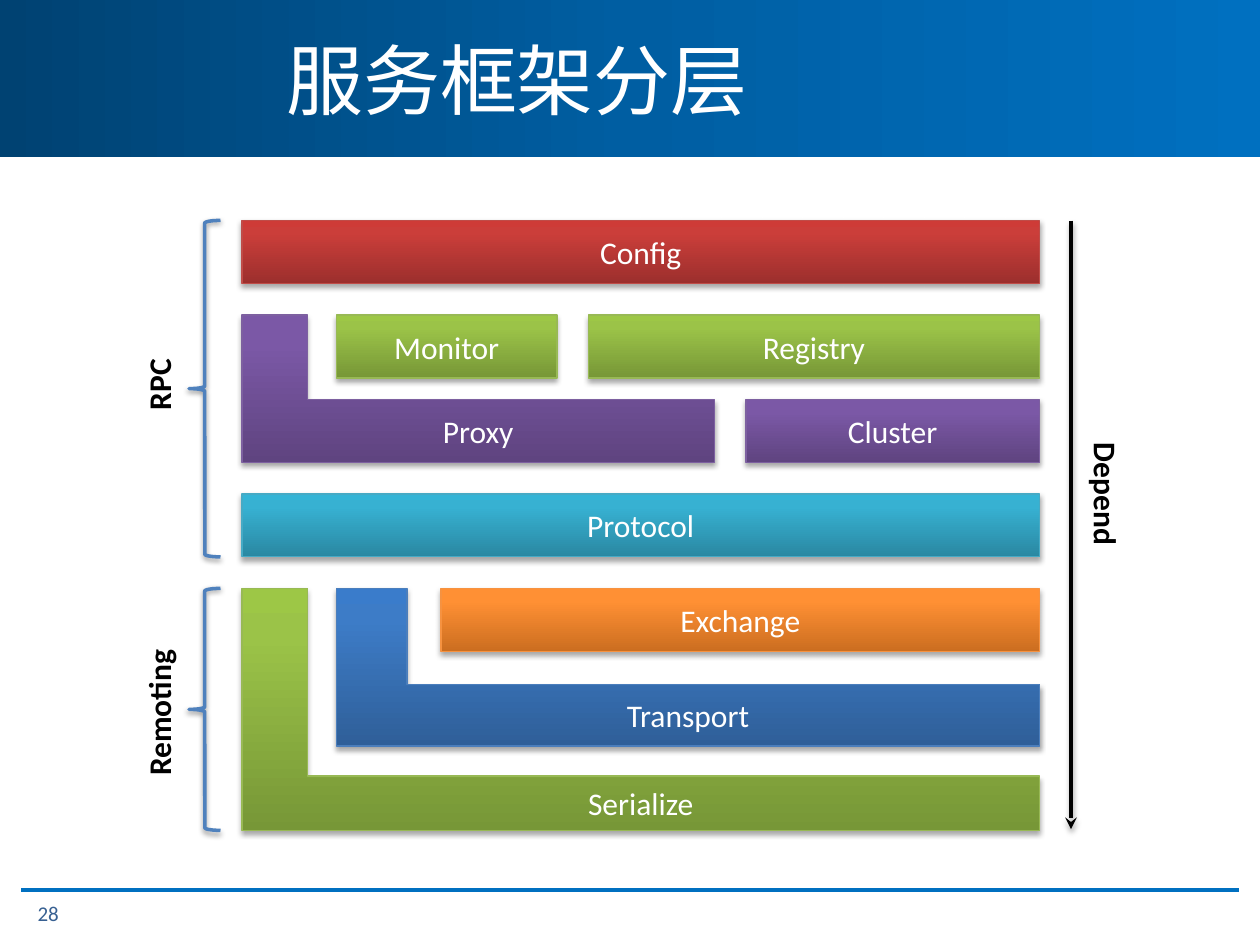
from copy import deepcopy

from lxml.etree import SubElement
from pptx import Presentation
from pptx.dml.color import RGBColor
from pptx.enum.shapes import MSO_CONNECTOR, MSO_SHAPE
from pptx.enum.text import MSO_ANCHOR, MSO_AUTO_SIZE, PP_ALIGN
from pptx.oxml.ns import qn
from pptx.util import Inches, Pt

FONT = "Calibri"
WHITE = RGBColor(255, 255, 255)
BLACK = RGBColor(0, 0, 0)
NAVY = RGBColor(0x37, 0x60, 0x92)
SKY = RGBColor(0x00, 0x70, 0xC0)
STEEL = RGBColor(0x4F, 0x81, 0xBD)
BANNER = [RGBColor(0x00, 0x42, 0x72), RGBColor(0x00, 0x5E, 0xA2), SKY]

# Each tint: bottom, upper and top of the gradient, then the outline
RED = [RGBColor(0x9C, 0x2F, 0x2D), RGBColor(0xCB, 0x3E, 0x3A),
       RGBColor(0xCE, 0x3B, 0x37), RGBColor(0xBF, 0x4C, 0x48)]
TEAL = [RGBColor(0x2A, 0x88, 0xA2), RGBColor(0x37, 0xB1, 0xD2),
        RGBColor(0x34, 0xB4, 0xD6), RGBColor(0x46, 0xAA, 0xC5)]
GREEN = [RGBColor(0x77, 0x97, 0x37), RGBColor(0x9B, 0xC3, 0x48),
         RGBColor(0x9D, 0xC7, 0x46), RGBColor(0x98, 0xB9, 0x55)]
PURPLE = [RGBColor(0x5F, 0x44, 0x80), RGBColor(0x7B, 0x58, 0xA6),
          RGBColor(0x7C, 0x57, 0xA8), RGBColor(0x7D, 0x60, 0xA0)]
ORANGE = [RGBColor(0xCC, 0x6E, 0x20), RGBColor(0xFF, 0x90, 0x34),
          RGBColor(0xFF, 0x91, 0x36), RGBColor(0xF6, 0x92, 0x40)]
BLUE = [RGBColor(0x2F, 0x5F, 0x99), RGBColor(0x3D, 0x7C, 0xC7),
        RGBColor(0x3A, 0x7C, 0xCB), RGBColor(0x4B, 0x7E, 0xBC)]

# Left, top, width, height within the stack; L shapes add foot and stem
LAYERS = [
    ("Config", RED, 0, 0, 6.33, 0.5),
    ("Protocol", TEAL, 0, 2.17, 6.33, 0.5),
    ("Registry", GREEN, 2.75, 0.75, 3.58, 0.5),
    ("Cluster", PURPLE, 4, 1.42, 2.33, 0.5),
    ("Monitor", GREEN, 0.75, 0.75, 1.75, 0.5),
    ("Exchange", ORANGE, 1.58, 2.92, 4.75, 0.5),
    ("Proxy", PURPLE, 0, 0.75, 3.75, 1.17, 0.5, 0.52),
    ("Serialize", GREEN, 0, 2.92, 6.33, 1.92, 0.43, 0.52),
    ("Transport", BLUE, 0.75, 2.92, 5.58, 1.25, 0.49, 0.56),
]


def write(frame, text, size, color, bold=None, align=PP_ALIGN.LEFT):
    para = frame.paragraphs[0]
    para.alignment = align
    run = para.add_run()
    run.text = text
    font = run.font
    font.name, font.size, font.bold = FONT, Pt(size), bold
    font.color.rgb = color


def blend(shape, colors, spots, angle):
    """Fill with a three-stop gradient."""
    shape.fill.gradient()
    stops = shape._element.spPr.find(".//" + qn("a:gsLst"))
    stops.append(deepcopy(stops[-1]))
    for stop, color, spot in zip(shape.fill.gradient_stops, colors, spots):
        stop.color.rgb = color
        stop.position = spot
    shape.fill.gradient_angle = angle


def shade(shape, alpha=35, dist=1.8):
    """Drop a soft black shadow straight down."""
    props = shape._element.spPr
    for old in props.findall(qn("a:effectLst")):
        props.remove(old)
    drop = SubElement(SubElement(props, qn("a:effectLst")), qn("a:outerShdw"),
                      blurRad=str(Pt(3.1)), dist=str(Pt(dist)),
                      dir="5400000", rotWithShape="0")
    tone = SubElement(drop, qn("a:srgbClr"), val="000000")
    SubElement(tone, qn("a:alpha"), val=str(alpha * 1000))


def rule(slide, x1, y1, x2, y2, color):
    line = slide.shapes.add_connector(
        MSO_CONNECTOR.STRAIGHT, Inches(x1), Inches(y1), Inches(x2), Inches(y2))
    line.line.color.rgb = color
    line.line.width = Pt(2.25)
    return line


def header(slide, x, y, w, h):
    bar = slide.shapes.add_shape(
        MSO_SHAPE.RECTANGLE, Inches(x), Inches(y), Inches(w), Inches(h))
    blend(bar, BANNER, (0, 0.5, 1), 0)
    bar.line.fill.background()
    bar.shadow.inherit = False
    title = slide.shapes.title
    title._element.addprevious(bar._element)
    inset = 2.17
    title.left, title.top = Inches(x + inset), Inches(y)
    title.width, title.height = Inches(w - inset), Inches(h)
    title.text_frame.vertical_anchor = MSO_ANCHOR.MIDDLE
    write(title.text_frame, "服务框架分层", 44, WHITE)


def footer(slide, x, y, w):
    line = rule(slide, x, y, x + w, y, SKY)
    SubElement(line._element.spPr, qn("a:effectLst"))
    box = slide.shapes.add_textbox(
        Inches(x + 0.03), Inches(y - 0.01), Inches(1.1), Inches(0.4))
    box.text_frame.word_wrap = True
    box.text_frame.vertical_anchor = MSO_ANCHOR.MIDDLE
    write(box.text_frame, "28", 12, NAVY)


def layer(slide, x, y, text, tint, left, top, w, h, foot=None, stem=None):
    kind = MSO_SHAPE.CORNER if foot else MSO_SHAPE.RECTANGLE
    block = slide.shapes.add_shape(
        kind, Inches(x + left), Inches(y + top), Inches(w), Inches(h))
    if foot:
        block.adjustments[0] = foot / min(w, h)
        block.adjustments[1] = stem / min(w, h)
    blend(block, tint, (0, 0.8, 1), 90)
    block.line.color.rgb = tint[3]
    block.line.width = Pt(0.75)
    shade(block)
    block.text_frame.vertical_anchor = MSO_ANCHOR.MIDDLE
    write(block.text_frame, text, 18, WHITE, align=PP_ALIGN.CENTER)


def label(slide, text, mid, center, w, turn):
    """Place a turned label around its center point."""
    h = 0.4
    box = slide.shapes.add_textbox(
        Inches(mid - w / 2), Inches(center - h / 2), Inches(w), Inches(h))
    box.rotation = turn
    box.text_frame.word_wrap = False
    box.text_frame.auto_size = MSO_AUTO_SIZE.SHAPE_TO_FIT_TEXT
    write(box.text_frame, text, 18, BLACK, True)


def group(slide, text, x, y, h, center, w):
    brace = slide.shapes.add_shape(
        MSO_SHAPE.LEFT_BRACE, Inches(x), Inches(y), Inches(0.25), Inches(h))
    brace.fill.background()
    brace.line.color.rgb = STEEL
    brace.line.width = Pt(2)
    shade(brace, 38, 1.6)
    label(slide, text, x - 0.24, center, w, 270)


def depend(slide, x, y, h):
    arrow = rule(slide, x, y, x, y + h, BLACK)
    ends = arrow._element.spPr.find(qn("a:ln"))
    SubElement(ends, qn("a:tailEnd"), type="stealth")
    shade(arrow)
    label(slide, "Depend", x + 0.28, y + 2.17, 1.01, 90)


def stack(slide, x, y):
    for item in LAYERS:
        layer(slide, x, y, *item)
    group(slide, "RPC", x - 0.42, y, 2.67, y + 1.3, 0.61)
    group(slide, "Remoting", x - 0.42, y + 2.92, 1.92, y + 3.9, 1.21)
    depend(slide, x + 6.58, y, 4.83)


def main():
    deck = Presentation()
    deck.slide_width, deck.slide_height = Inches(10), Inches(7.5)
    slide = deck.slides.add_slide(deck.slide_layouts[5])
    header(slide, 0, 0, 10, 1.25)
    footer(slide, 0.17, 7.06, 9.66)
    stack(slide, 1.92, 1.75)
    deck.save("out.pptx")


if __name__ == "__main__":
    main()
